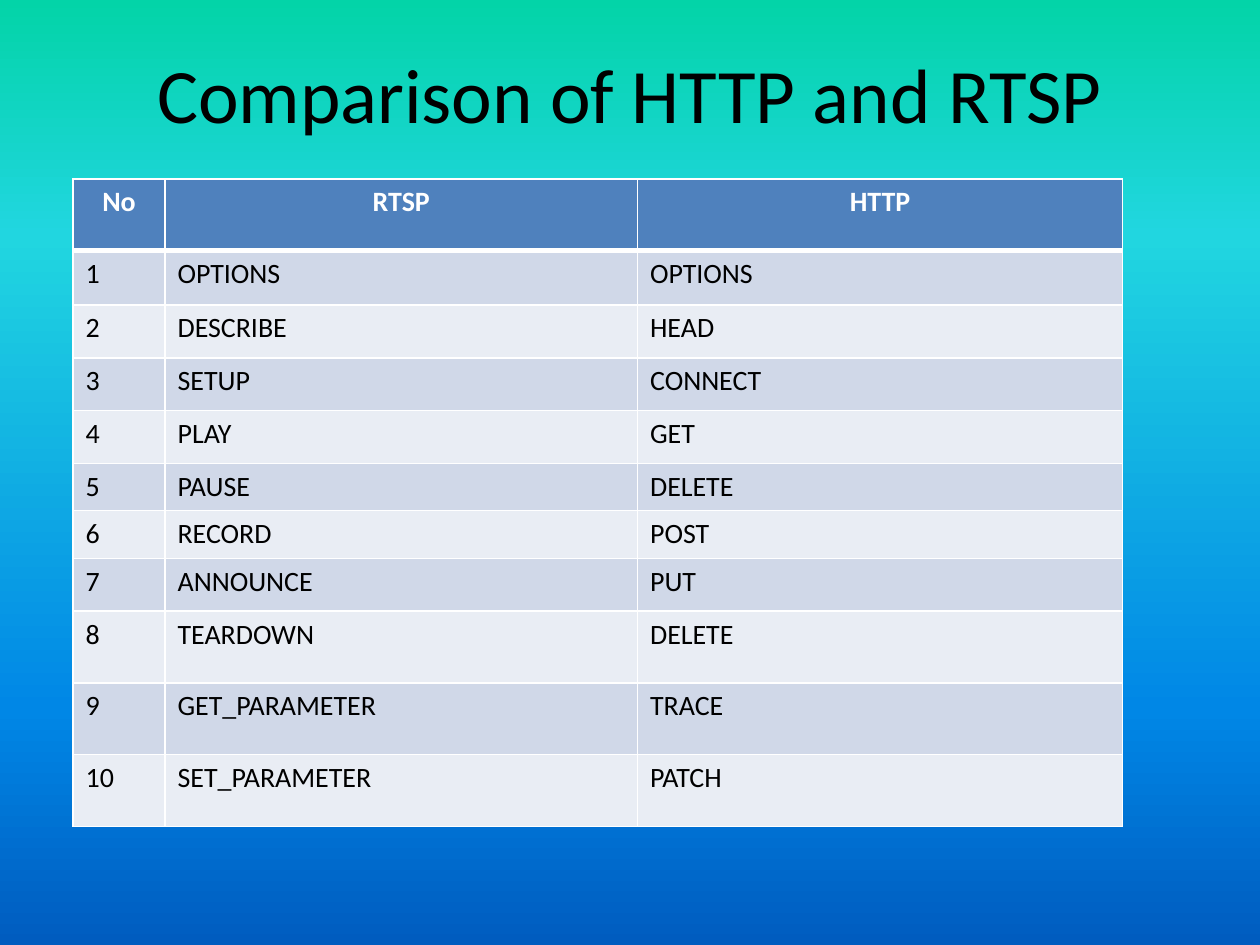
"""Build the slide that compares RTSP and HTTP methods."""
from dataclasses import dataclass
from typing import NamedTuple

from lxml.etree import SubElement
from pptx import Presentation
from pptx.dml.color import RGBColor
from pptx.enum.text import MSO_ANCHOR, PP_ALIGN
from pptx.oxml import parse_xml
from pptx.oxml.ns import nsdecls, qn
from pptx.util import Inches, Pt


@dataclass(frozen=True)
class Theme:
    """Colours, font and type sizes of the slide."""
    font: str = "Calibri"
    title_size: int = 44
    cell_size: int = 16
    ink: str = "000000"
    white: str = "FFFFFF"
    header: str = "4F81BD"
    bands: tuple = ("D0D8E8", "E9EDF4")
    sky: tuple = ((0, "03D4A8"), (25, "21D6E0"), (75, "0087E6"), (100, "005CBF"))
    thin: int = 1
    thick: int = 3


class Method(NamedTuple):
    """One table row: the two method names and the row height."""
    rtsp: str
    http: str
    height: float


THEME = Theme()
WIDTH, HEIGHT = 10, 7.5
HEADER_HEIGHT = 0.57
COLUMNS = (0.73, 3.75, 3.85)
METHODS = (
    Method("OPTIONS", "OPTIONS", 0.43),
    Method("DESCRIBE", "HEAD", 0.42),
    Method("SETUP", "CONNECT", 0.42),
    Method("PLAY", "GET", 0.42),
    Method("PAUSE", "DELETE", 0.33),
    Method("RECORD", "POST", 0.38),
    Method("ANNOUNCE", "PUT", 0.42),
    Method("TEARDOWN", "DELETE", 0.57),
    Method("GET_PARAMETER", "TRACE", 0.57),
    Method("SET_PARAMETER", "PATCH", 0.57),
)


def paint_background(s) -> None:
    """Fill the background with the vertical gradient."""
    fill = s.background.fill
    fill.gradient()
    fill.gradient_angle = 270
    stops = next(s.element.iter(qn("a:gsLst")))
    for stop in list(stops):
        stops.remove(stop)
    for share, color in THEME.sky:
        stop = SubElement(stops, qn("a:gs"), pos=str(share * 1000))
        SubElement(stop, qn("a:srgbClr"), val=color)


def format_text(tf, size: int, color: str, bold: bool, align: PP_ALIGN) -> None:
    """Format every run of a text frame."""
    for p in tf.paragraphs:
        p.alignment = align
        for r in p.runs:
            r.font.name = THEME.font
            r.font.size = Pt(size)
            r.font.bold = bold
            r.font.color.rgb = RGBColor.from_string(color)


def add_title(s, text: str) -> None:
    """Place and format the title."""
    sp = s.shapes.title
    sp.left, sp.top = Inches(0.05 * WIDTH), Inches(0.04 * HEIGHT)
    sp.width, sp.height = Inches(0.9 * WIDTH), Inches(0.87)
    tf = sp.text_frame
    tf.text = text
    tf.word_wrap = True
    tf.vertical_anchor = MSO_ANCHOR.MIDDLE
    format_text(tf, THEME.title_size, THEME.ink, False, PP_ALIGN.CENTER)


def add_borders(cell, top: int, bottom: int) -> None:
    """Draw the four white borders of a cell."""
    widths = {"L": THEME.thin, "R": THEME.thin, "T": top, "B": bottom}
    props = cell._tc.get_or_add_tcPr()
    for i, (side, width) in enumerate(widths.items()):
        props.insert(i, parse_xml(
            f'<a:ln{side} {nsdecls("a")} w="{Pt(width)}"><a:solidFill>'
            f'<a:srgbClr val="{THEME.white}"/></a:solidFill></a:ln{side}>'))


def fill_cell(cell, text: str, row: int) -> None:
    """Write and format one cell by its row number."""
    head = row == 0
    cell.text = text
    cell.fill.solid()
    color = THEME.header if head else THEME.bands[(row - 1) % 2]
    cell.fill.fore_color.rgb = RGBColor.from_string(color)
    format_text(cell.text_frame, THEME.cell_size, THEME.white if head else THEME.ink,
                head, PP_ALIGN.CENTER if head else PP_ALIGN.LEFT)
    add_borders(cell, THEME.thick if row == 1 else THEME.thin,
                THEME.thick if head else THEME.thin)


def add_methods(s) -> None:
    """Add the table of numbered methods."""
    rows = [("No", "RTSP", "HTTP")]
    rows += [(str(n), m.rtsp, m.http) for n, m in enumerate(METHODS, 1)]
    heights = [HEADER_HEIGHT] + [m.height for m in METHODS]
    table = s.shapes.add_table(
        len(rows), len(COLUMNS), Inches(0.58), Inches(1.42),
        Inches(sum(COLUMNS)), Inches(sum(heights))).table
    for column, width in zip(table.columns, COLUMNS):
        column.width = Inches(width)
    for i, (texts, height) in enumerate(zip(rows, heights)):
        table.rows[i].height = Inches(height)
        for j, text in enumerate(texts):
            fill_cell(table.cell(i, j), text, i)


def main() -> None:
    """Build and save the presentation."""
    prs = Presentation()
    prs.slide_width, prs.slide_height = Inches(WIDTH), Inches(HEIGHT)
    s = prs.slides.add_slide(prs.slide_layouts.get_by_name("Title Only"))
    paint_background(s)
    add_title(s, "Comparison of HTTP and RTSP")
    add_methods(s)
    prs.save("out.pptx")


main()
